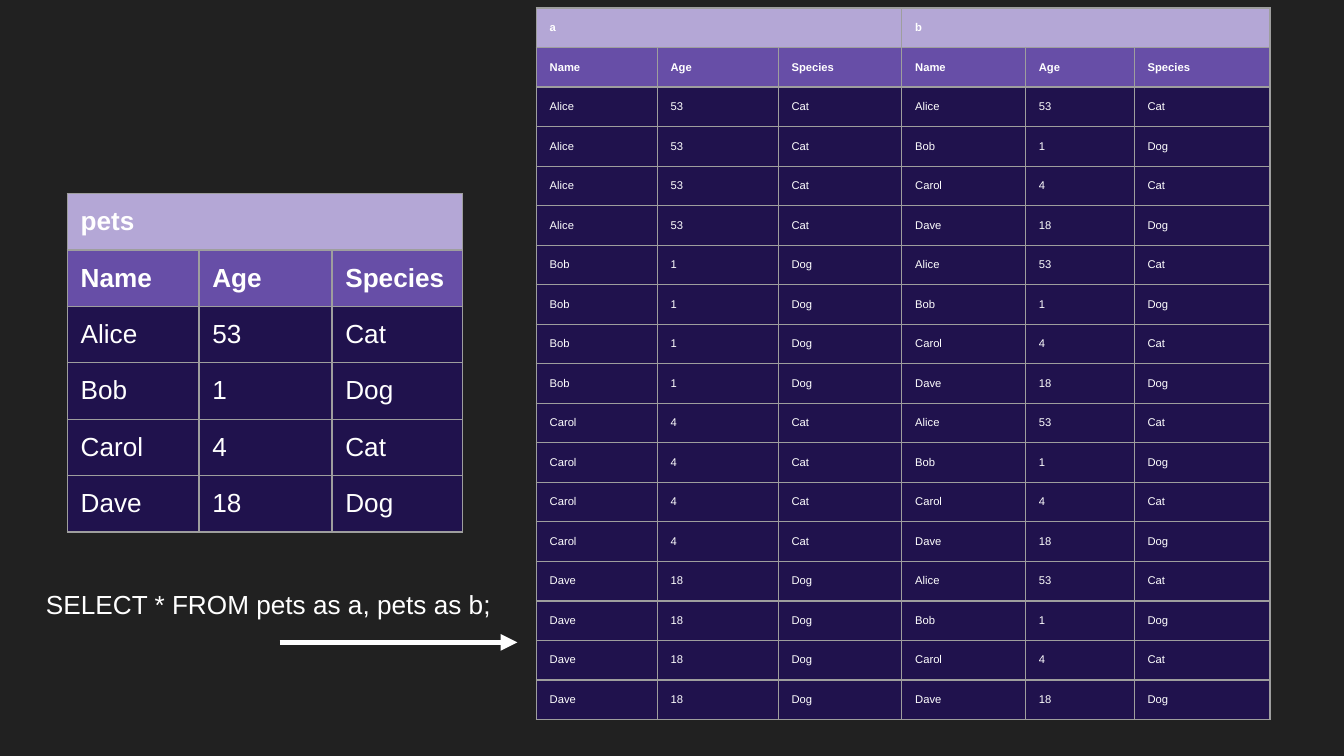
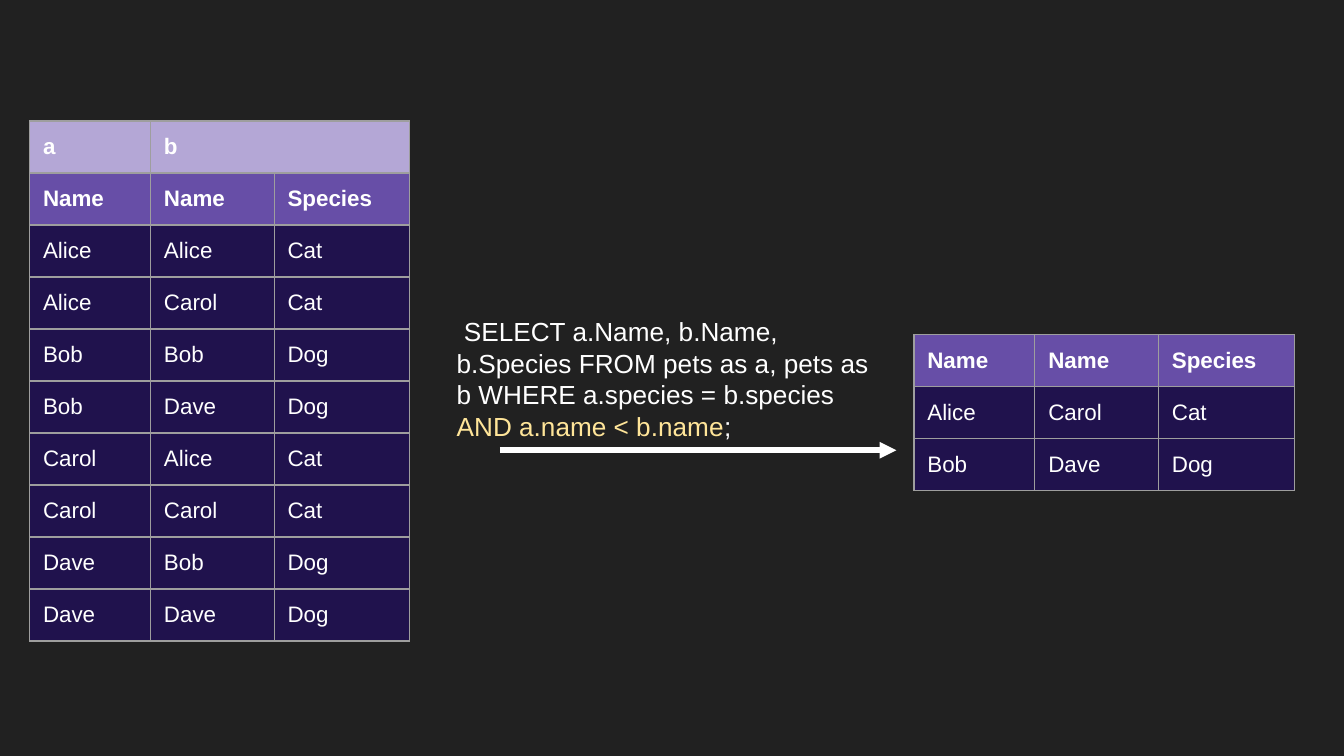
from itertools import product

from lxml.etree import SubElement
from pptx import Presentation
from pptx.dml.color import RGBColor
from pptx.enum.shapes import MSO_CONNECTOR
from pptx.oxml.ns import qn
from pptx.util import Inches, Pt

HUES = {
    "back": "212121",
    "group": "B4A7D6",
    "head": "674EA7",
    "body": "20124D",
    "edge": "9E9E9E",
    "text": "FFFFFF",
    "mark": "FFE599",
}
FONT = "Arial"
HEADS = ("Name", "Age", "Species")
PETS = [("Alice", "53", "Cat"), ("Bob", "1", "Dog"),
        ("Carol", "4", "Cat"), ("Dave", "18", "Dog")]
PAIRS = list(product(PETS, PETS))
SAME = [(a, b) for a, b in PAIRS if a[2] == b[2]]
SHORT = (0.9, 0.92, 1.01)


def rgb(hue):
    return RGBColor.from_string(HUES[hue])


def style(run, size, hue="text", bold=False):
    run.font.name = FONT
    run.font.size = Pt(size)
    run.font.bold = bold
    run.font.color.rgb = rgb(hue)


def edge(cell):
    props = cell._tc.get_or_add_tcPr()
    for spot, side in enumerate(("a:lnL", "a:lnR", "a:lnT", "a:lnB")):
        line = props.makeelement(qn(side), {"w": str(Pt(0.75))})
        fill = SubElement(line, qn("a:solidFill"))
        SubElement(fill, qn("a:srgbClr"), val=HUES["edge"])
        props.insert(spot, line)


def fill_cell(cell, text, hue, size):
    cell.fill.solid()
    cell.fill.fore_color.rgb = rgb(hue)
    cell.margin_left = cell.margin_right = Inches(0.1)
    cell.margin_top = cell.margin_bottom = Inches(0.1)
    edge(cell)
    para = cell.text_frame.paragraphs[0]
    para.text = text
    para.font.size = Pt(size)
    for run in para.runs:
        style(run, size, bold=hue != "body")


def add_grid(slide, left, top, cols, high, size, heads, rows, groups=()):
    """Groups are (name, span) pairs that share the top row."""
    lines = [("head", heads)] + [("body", row) for row in rows]
    if groups:
        names = [text for name, span in groups
                 for text in [name] + [""] * (span - 1)]
        lines.insert(0, ("group", names))
    frame = slide.shapes.add_table(
        len(lines), len(cols), Inches(left), Inches(top),
        Inches(sum(cols)), Inches(high * len(lines)))
    table = frame.table
    for col, wide in zip(table.columns, cols):
        col.width = Inches(wide)
    for r, (hue, texts) in enumerate(lines):
        table.rows[r].height = Inches(high)
        for c, text in enumerate(texts):
            fill_cell(table.cell(r, c), text, hue, size)
    # Join the cells under each group name
    start = 0
    for _, span in groups:
        if span > 1:
            table.cell(0, start).merge(table.cell(0, start + span - 1))
        start += span


def add_query(slide, left, top, wide, parts):
    box = slide.shapes.add_textbox(
        Inches(left), Inches(top), Inches(wide), Inches(1.5))
    frame = box.text_frame
    frame.word_wrap = True
    frame.margin_left = frame.margin_right = Inches(0.1)
    frame.margin_top = frame.margin_bottom = Inches(0.1)
    for text, hue in parts:
        run = frame.paragraphs[0].add_run()
        run.text = text
        style(run, 14, hue)


def add_arrow(slide, left, right, y):
    arrow = slide.shapes.add_connector(
        MSO_CONNECTOR.STRAIGHT, Inches(left), Inches(y), Inches(right), Inches(y))
    arrow.line.color.rgb = rgb("text")
    arrow.line.width = Pt(3)
    SubElement(arrow.line._get_or_add_ln(), qn("a:tailEnd"), type="triangle")
    SubElement(arrow._element.spPr, qn("a:effectLst"))


def add_slide(deck):
    slide = deck.slides.add_slide(deck.slide_layouts[6])
    slide.background.fill.solid()
    slide.background.fill.fore_color.rgb = rgb("back")
    return slide


def cross_slide(deck):
    slide = add_slide(deck)
    # Source table
    add_grid(slide, 0.5, 1.44, (0.98, 0.99, 0.97), 0.42, 14,
             HEADS, PETS, [("pets", 3)])
    # All pairs of pets
    add_grid(slide, 3.99, 0.06, (0.9, 0.9, 0.92, 0.92, 0.81, 1.01), 0.29, 6,
             HEADS * 2, [a + b for a, b in PAIRS], [("a", 3), ("b", 3)])
    # Query
    add_query(slide, 0.19, 4.28, 3.86,
              [(" SELECT * FROM pets as a, pets as b;", "text")])
    add_arrow(slide, 2.08, 3.85, 4.78)


def match_slide(deck):
    slide = add_slide(deck)
    heads = ("Name", "Name", "Species")
    # Pairs of one species
    add_grid(slide, 0.22, 0.9, SHORT, 0.38, 12, heads,
             [(a[0], b[0], b[2]) for a, b in SAME], [("a", 1), ("b", 2)])
    # Each pair once
    add_grid(slide, 6.8, 2.49, SHORT, 0.38, 12, heads,
             [(a[0], b[0], b[2]) for a, b in SAME if a[0] < b[0]])
    # Query
    add_query(slide, 3.3, 2.25, 3.4, [
        (" SELECT a.Name, b.Name, b.Species FROM pets as a, pets as b "
         "WHERE a.species = b.species ", "text"),
        ("AND a.name < b.name", "mark"),
        (";", "text")])
    add_arrow(slide, 3.72, 6.67, 3.35)


def main():
    deck = Presentation()
    # Wide format, 16 to 9
    deck.slide_width = Inches(10)
    deck.slide_height = deck.slide_width * 9 // 16
    cross_slide(deck)
    match_slide(deck)
    deck.save("out.pptx")


if __name__ == "__main__":
    main()
